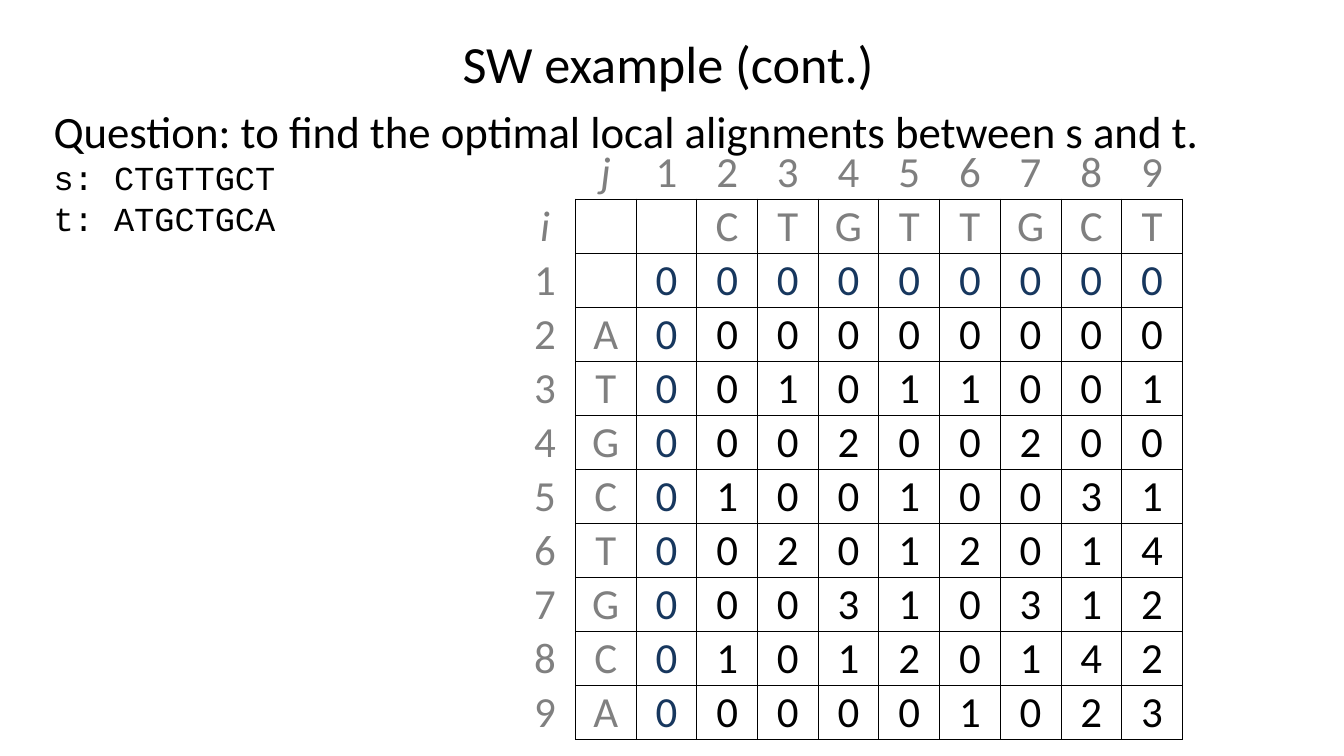
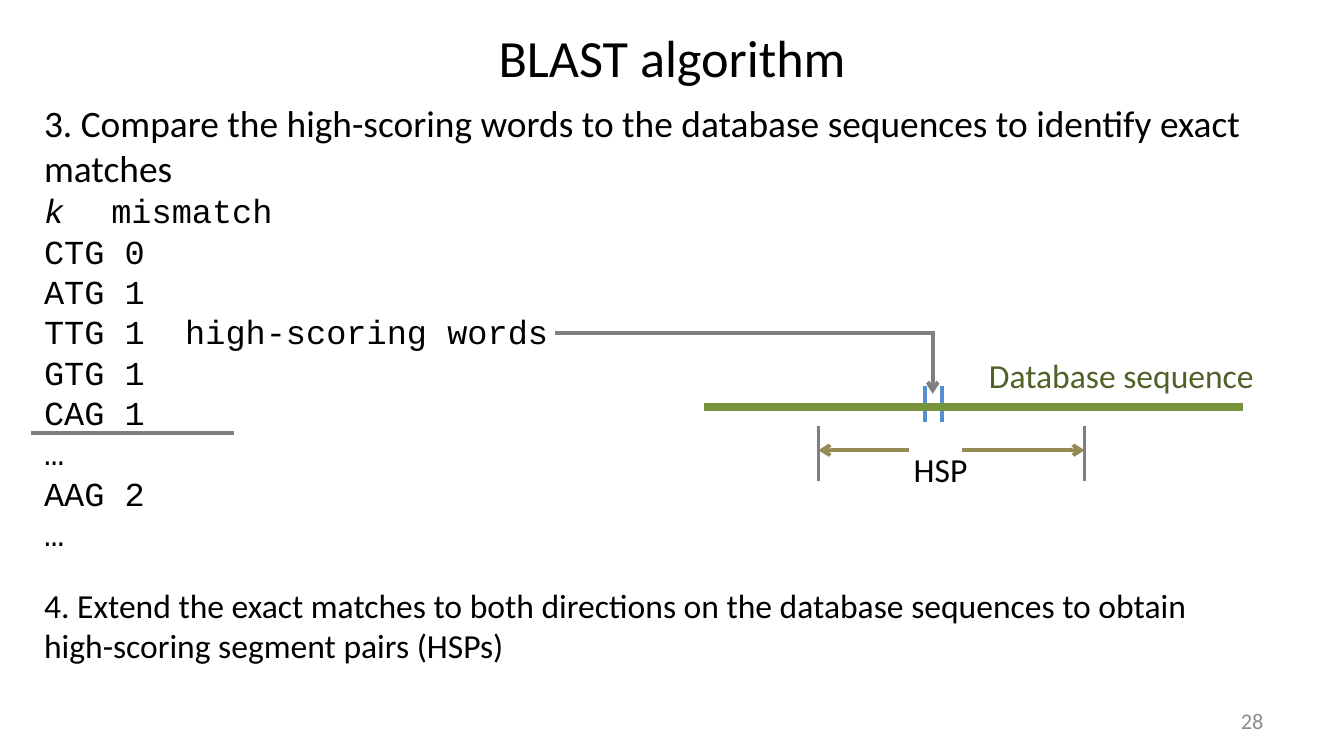
from lxml import etree
from pptx import Presentation
from pptx.dml.color import RGBColor
from pptx.enum.shapes import MSO_CONNECTOR
from pptx.enum.text import MSO_ANCHOR, MSO_AUTO_SIZE, PP_ALIGN
from pptx.oxml.ns import qn
from pptx.util import Inches, Pt

LINE = MSO_CONNECTOR.STRAIGHT
MIDDLE, TOP = MSO_ANCHOR.MIDDLE, MSO_ANCHOR.TOP
LEFT, CENTER, RIGHT = PP_ALIGN.LEFT, PP_ALIGN.CENTER, PP_ALIGN.RIGHT
GROW = MSO_AUTO_SIZE.SHAPE_TO_FIT_TEXT
COLS, ROWS = 100, 56.25
SANS, MONO = "Calibri", "Courier New"
COLOR = {
    "black": "000000", "gray": "7F7F7F", "index": "808080", "navy": "17375E",
    "page": "8C8C8C", "tan": "948A54", "blue": "558ED5", "green": "77933C",
    "moss": "4F6228",
}
TOP_SEQ, SIDE_SEQ = "CTGTTGCT", "ATGCTGCA"
SCORES = [
    "000000000", "000000000", "001011001", "000200200", "010010031",
    "002012014", "000310312", "010120142", "000001023",
]


def grid(*marks):
    """Turn grid columns or rows of a tenth of an inch into lengths."""
    return [Inches(mark / 10) for mark in marks]


def style(run, size, font=SANS, color="black", slant=False):
    """Format one run."""
    run.font.size = Pt(size)
    run.font.name = font
    run.font.italic = slant
    run.font.color.rgb = RGBColor.from_string(COLOR[color])


def start(deck, text, box):
    """Add a title-only slide and place its title."""
    slide = deck.slides.add_slide(deck.slide_layouts[5])
    title = slide.shapes.title
    title.left, title.top, title.width, title.height = grid(*box)
    frame = title.text_frame
    frame.text = text
    frame.vertical_anchor = MIDDLE
    frame.paragraphs[0].alignment = CENTER
    style(frame.paragraphs[0].runs[0], 28)
    return slide


def write(shapes, box, lines, color="black", wrap=True, align=LEFT, anchor=TOP):
    """Add a text box from lines of text, size and font."""
    frame = shapes.add_textbox(*grid(*box)).text_frame
    frame.word_wrap = wrap
    frame.vertical_anchor = anchor
    if anchor == TOP:
        frame.auto_size = GROW
    for num, (text, size, font) in enumerate(lines):
        para = frame.add_paragraph() if num else frame.paragraphs[0]
        para.text = text
        para.alignment = align
        style(para.runs[0], size, font, color)
    return frame


def rule(shapes, ends, color, width=2, arrow=False):
    """Draw a straight line, with an arrowhead at its end if asked."""
    link = shapes.add_connector(LINE, *grid(*ends))
    link.line.color.rgb = RGBColor.from_string(COLOR[color])
    link.line.width = Pt(width)
    props = link._element.spPr
    if arrow:
        etree.SubElement(props.find(qn("a:ln")), qn("a:tailEnd"), type="arrow")
    etree.SubElement(props, qn("a:effectLst"))


def edge(cell, sides):
    """Draw thin black borders on the named sides and clear the others."""
    props = cell._tc.get_or_add_tcPr()
    for num, side in enumerate("LRTB"):
        line = etree.Element(qn("a:ln" + side), w=str(Pt(0.5)))
        if side in sides:
            fill = etree.SubElement(line, qn("a:solidFill"))
            etree.SubElement(fill, qn("a:srgbClr"), val=COLOR["black"])
        else:
            etree.SubElement(line, qn("a:noFill"))
        props.insert(num, line)


def tint(row, col):
    """Choose the text colour for a place in the matrix."""
    if row < 2:
        return "gray"
    if col < 2:
        return "index"
    return "navy" if row == 2 or col == 2 else "black"


def matrix(shapes, box):
    """Add the score table with its index row and column."""
    data = [["", "j", *"123456789"], ["i", "", "", *TOP_SEQ]]
    for num, (mark, row) in enumerate(zip(["", *SIDE_SEQ], SCORES), 1):
        data.append([str(num), mark, *row])
    count = len(data)
    table = shapes.add_table(count, count, *grid(*box)).table
    table.first_row = table.horz_banding = False
    for r, row in enumerate(data):
        for c, text in enumerate(row):
            cell = table.cell(r, c)
            cell.fill.background()
            cell.vertical_anchor = MIDDLE
            cell.margin_left = cell.margin_right = cell.margin_top = Inches(0.01)
            cell.margin_bottom = 0
            edge(cell, "LRTB" if r and c else "R" * (r > 0) + "B" * (c > 0))
            if text:
                para = cell.text_frame.paragraphs[0]
                para.text = text
                para.alignment = CENTER
                style(para.runs[0], 23, SANS, tint(r, c), text in "ij")


def align_slide(deck):
    """Build the local alignment example."""
    slide = start(deck, "SW example (cont.)", (7.2, 1, 85, 7.3))
    matrix(slide.shapes, (38.3, 10.8, 49.7, 43.6))
    write(slide.shapes, (3, 7.2, 88.5, 11.1), [
        ("Question: to find the optimal local alignments between s and t.", 24, SANS),
        ("s: " + TOP_SEQ, 18, MONO),
        ("t: " + SIDE_SEQ, 18, MONO),
    ])


def word_list(shapes):
    """Add step three with its list of words."""
    words = ["k", "CTG 0", "ATG 1", "TTG 1  high-scoring words", "GTG 1",
             "CAG 1", "…", "AAG 2", "…"]
    step = ("3. Compare the high-scoring words to the database sequences "
            "to identify exact matches")
    frame = write(shapes, (2.3, 7, 97.7, 35),
                  [(step, 20, SANS)] + [(word, 18, MONO) for word in words])
    head = frame.paragraphs[1]
    head.runs[0].font.italic = True
    run = head.add_run()
    run.text = "\tmismatch"
    style(run, 18, MONO)
    tabs = etree.SubElement(head._p.get_or_add_pPr(), qn("a:tabLst"))
    etree.SubElement(tabs, qn("a:tab"), pos=str(Inches(0.5)), algn="l")
    rule(shapes, (2.3, 32.2, 17.4, 32.2), "gray")


def pair_span(shapes):
    """Draw the span of the segment pair."""
    left, right, level = 60.9, 80.7, 33.5
    rule(shapes, (71.6, level, right, level), "tan", arrow=True)
    rule(shapes, (67.6, level, left, level), "tan", arrow=True)
    for x in (left, right):
        rule(shapes, (x, 31.7, x, 35.8), "gray")
    write(shapes, (67, 32.9, 6.1, 4), [("HSP", 18, SANS)], wrap=False)


def match_mark(shapes):
    """Draw the link from the words to the matched place."""
    for x in (68.8, 70.1):
        rule(shapes, (x, 28.7, x, 31.4), "blue")
    rule(shapes, (69.4, 24.6, 69.4, 29.3), "gray", arrow=True)
    rule(shapes, (41.3, 24.8, 69.3, 24.8), "gray")


def base_line(shapes):
    """Draw the database sequence and its label."""
    rule(shapes, (52.4, 30.3, 92.5, 30.3), "green", 4.5)
    write(shapes, (72.6, 25.9, 22, 4), [("Database sequence", 18, SANS)],
          "moss", wrap=False)


def blast_slide(deck):
    """Build the word matching slide."""
    slide = start(deck, "BLAST algorithm", (5, 1.1, 90, 6.3))
    shapes = slide.shapes
    word_list(shapes)
    for draw in (pair_span, match_mark, base_line):
        draw(shapes.add_group_shape().shapes)
    write(shapes, (71.7, 52.1, 23.3, 3), [("28", 12, SANS)], "page",
          align=RIGHT, anchor=MIDDLE)
    step = ("4. Extend the exact matches to both directions on the database "
            "sequences to obtain high-scoring segment pairs (HSPs)")
    write(shapes, (2.3, 43, 89, 7.1), [(step, 18, SANS)])


def main():
    """Build and save the deck."""
    deck = Presentation()
    deck.slide_width, deck.slide_height = grid(COLS, ROWS)
    align_slide(deck)
    blast_slide(deck)
    deck.save("out.pptx")


if __name__ == "__main__":
    main()
